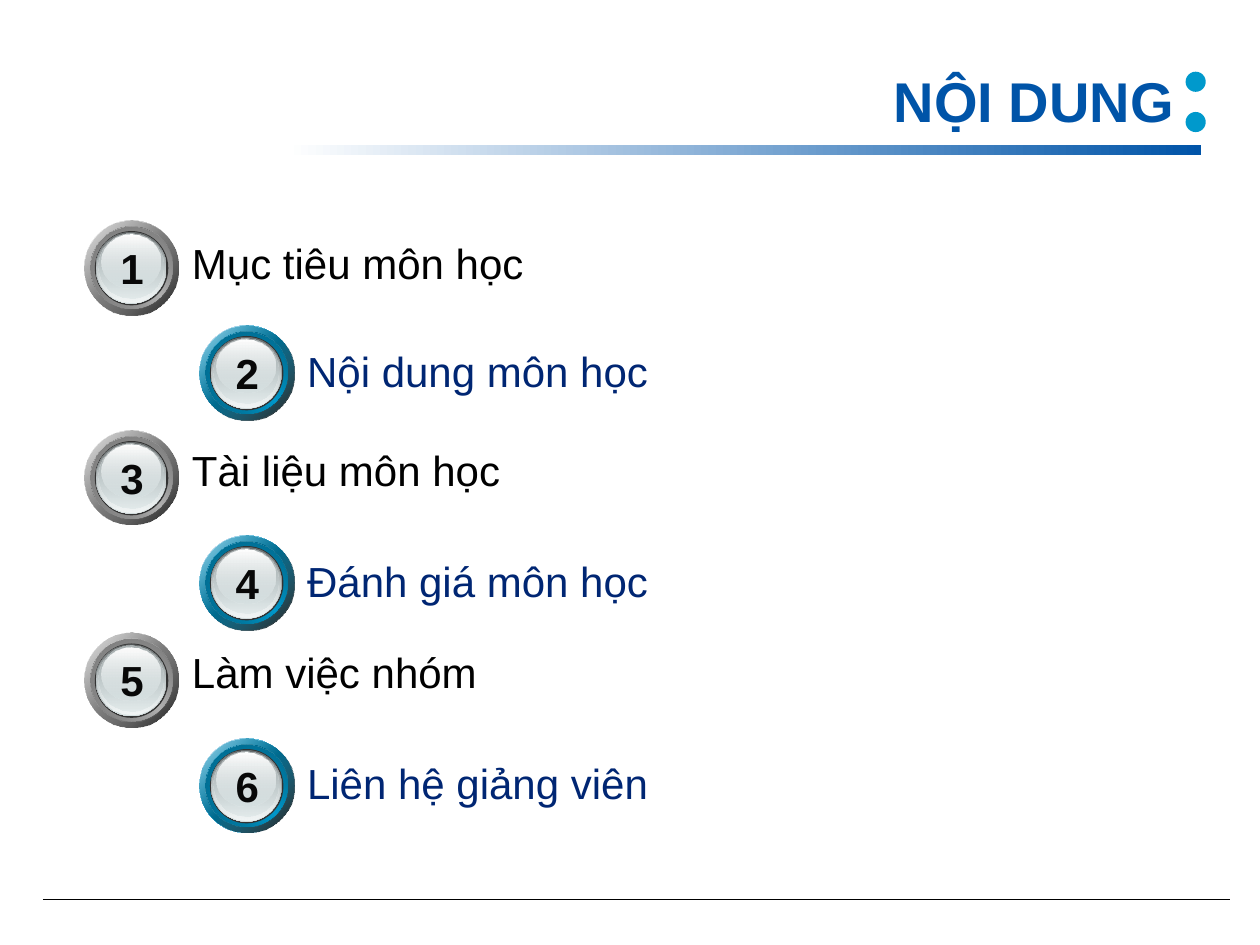
from lxml import etree
from pptx import Presentation
from pptx.dml.color import RGBColor
from pptx.enum.shapes import MSO_CONNECTOR, MSO_SHAPE
from pptx.enum.text import MSO_ANCHOR, MSO_AUTO_SIZE, PP_ALIGN
from pptx.oxml.ns import qn
from pptx.util import Pt

RECT, OVAL = MSO_SHAPE.RECTANGLE, MSO_SHAPE.OVAL
STRAIGHT = MSO_CONNECTOR.STRAIGHT
LEFT, CENTER, RIGHT = PP_ALIGN.LEFT, PP_ALIGN.CENTER, PP_ALIGN.RIGHT
TOP, MIDDLE = MSO_ANCHOR.TOP, MSO_ANCHOR.MIDDLE
GROW, FIXED = MSO_AUTO_SIZE.SHAPE_TO_FIT_TEXT, MSO_AUTO_SIZE.NONE

COLORS = {
    "white": "FFFFFF", "black": "000000", "digit": "080808",
    "title": "0054A8", "navy": "002673", "rim": "333333",
    "gray": "B2B2B2", "gray_dark": "606060", "gray_mid": "717171",
    "teal": "0099CC", "teal_dark": "00536E", "teal_mid": "006182",
    "steel": "636869", "silver": "D6E1E2", "pale": "F1F5F5", "ash": "AAB2B3",
}


class Deck:
    font = "Arial"

    def __init__(self, width, height):
        self.prs = Presentation()
        self.prs.slide_width, self.prs.slide_height = Pt(width), Pt(height)
        self.slide = self.prs.slides.add_slide(self.prs.slide_layouts[6])

    def color(self, name):
        return RGBColor.from_string(COLORS[name])

    def gradient(self, shape, stops, angle):
        """Stops are (position %, colour name, opacity %)."""
        fill = etree.Element(qn("a:gradFill"), rotWithShape="1")
        stop_list = etree.SubElement(fill, qn("a:gsLst"))
        for position, name, opacity in stops:
            stop = etree.SubElement(stop_list, qn("a:gs"), pos=str(position * 1000))
            rgb = etree.SubElement(stop, qn("a:srgbClr"), val=COLORS[name])
            if opacity < 100:
                etree.SubElement(rgb, qn("a:alpha"), val=str(opacity * 1000))
        etree.SubElement(fill, qn("a:lin"), ang=str(angle * 60000), scaled="0")
        shape._element.spPr.find(qn("a:prstGeom")).addnext(fill)

    def shape(self, kind, box, fill, angle=0, parent=None):
        """Fill is a colour name or a list of gradient stops."""
        shapes = (parent or self.slide).shapes
        shape = shapes.add_shape(kind, *map(Pt, box))
        shape.shadow.inherit = False
        shape.line.fill.background()
        if isinstance(fill, str):
            shape.fill.solid()
            shape.fill.fore_color.rgb = self.color(fill)
        else:
            self.gradient(shape, fill, angle)

    def line(self, start, end, color, width):
        line = self.slide.shapes.add_connector(STRAIGHT, *map(Pt, start + end))
        line.line.color.rgb = self.color(color)
        line.line.width = Pt(width)
        etree.SubElement(line._element.spPr, qn("a:effectLst"))

    def text(self, box, words, size, color, bold=False, align=LEFT,
             anchor=TOP, autosize=GROW):
        frame = self.slide.shapes.add_textbox(*map(Pt, box)).text_frame
        frame.word_wrap = True
        frame.auto_size = autosize
        frame.vertical_anchor = anchor
        paragraph = frame.paragraphs[0]
        paragraph.alignment = align
        run = paragraph.add_run()
        run.text = words
        run.font.name, run.font.size, run.font.bold = self.font, Pt(size), bold
        run.font.color.rgb = self.color(color)

    def button(self, left, top, hue, digit):
        dark, mid = hue + "_dark", hue + "_mid"
        # Layers from back to front: inset x, inset y, width, height, fill, angle
        layers = [
            (0, 0, 54, 54, [(0, "white", 100), (50, hue, 100), (100, "white", 100)], 45),
            (0, 0, 54, 54, [(0, hue, 32), (100, "black", 90)], 45),
            (3.5, 3.5, 47, 47, [(0, dark, 100), (50, hue, 100), (100, dark, 100)], 315),
            (3.5, 3.5, 47, 47, [(0, mid, 100), (100, hue, 0)], 45),
            (6, 6, 42, 42.5, "rim", 0),
            (6.5, 6.5, 40.5, 41, [(0, "steel", 100), (100, "silver", 100)], 90),
            (7, 6.8, 39.5, 40, [(0, "silver", 0), (100, "pale", 100)], 90),
            (7.8, 7.2, 37.5, 37.5, [(0, "ash", 100), (100, "silver", 48)], 90),
            (10, 8.3, 33.5, 30.3, [(0, "white", 100), (100, "silver", 38)], 90),
        ]
        group = self.slide.shapes.add_group_shape()
        for dx, dy, width, height, fill, angle in layers:
            self.shape(OVAL, (left + dx, top + dy, width, height), fill, angle, group)
        self.text((left + 12.3, top + 8.8, 30, 36), digit, 24, "digit",
                  bold=True, align=CENTER)


def main():
    deck = Deck(720, 540)

    # Footer rule, title bar and dots
    deck.line((24.5, 514), (702.7, 514), "black", 0.75)
    deck.shape(RECT, (164, 82.8, 522.5, 5.8),
               [(0, "white", 100), (100, "title", 100)])
    for dot_top in (41, 64):
        deck.shape(OVAL, (677.5, dot_top, 11.5, 11.5), "teal")
    deck.text((126, 30, 552, 54), "NỘI DUNG", 32, "title", bold=True,
              align=RIGHT, anchor=MIDDLE, autosize=FIXED)

    # Topics: button top, label top, label width, label
    topics = [
        (126, 132, 408, "Mục tiêu môn học"),
        (186, 193.7, 348, "Nội dung môn học"),
        (246, 250.4, 348, "Tài liệu môn học"),
        (306, 314, 402, "Đánh giá môn học"),
        (361.7, 365.8, 456, "Làm việc nhóm"),
        (422, 429.2, 485, "Liên hệ giảng viên"),
    ]
    # Odd topics are gray on the left, even ones teal and indented
    styles = [("gray", "black", 48.2), ("teal", "navy", 114)]
    for index, (button_top, label_top, width, label) in enumerate(topics):
        hue, label_color, left = styles[index % 2]
        deck.button(left, button_top, hue, str(index + 1))
        deck.text((left + 54.4, label_top, width, 36), label, 24, label_color)

    deck.prs.save("out.pptx")


if __name__ == "__main__":
    main()
